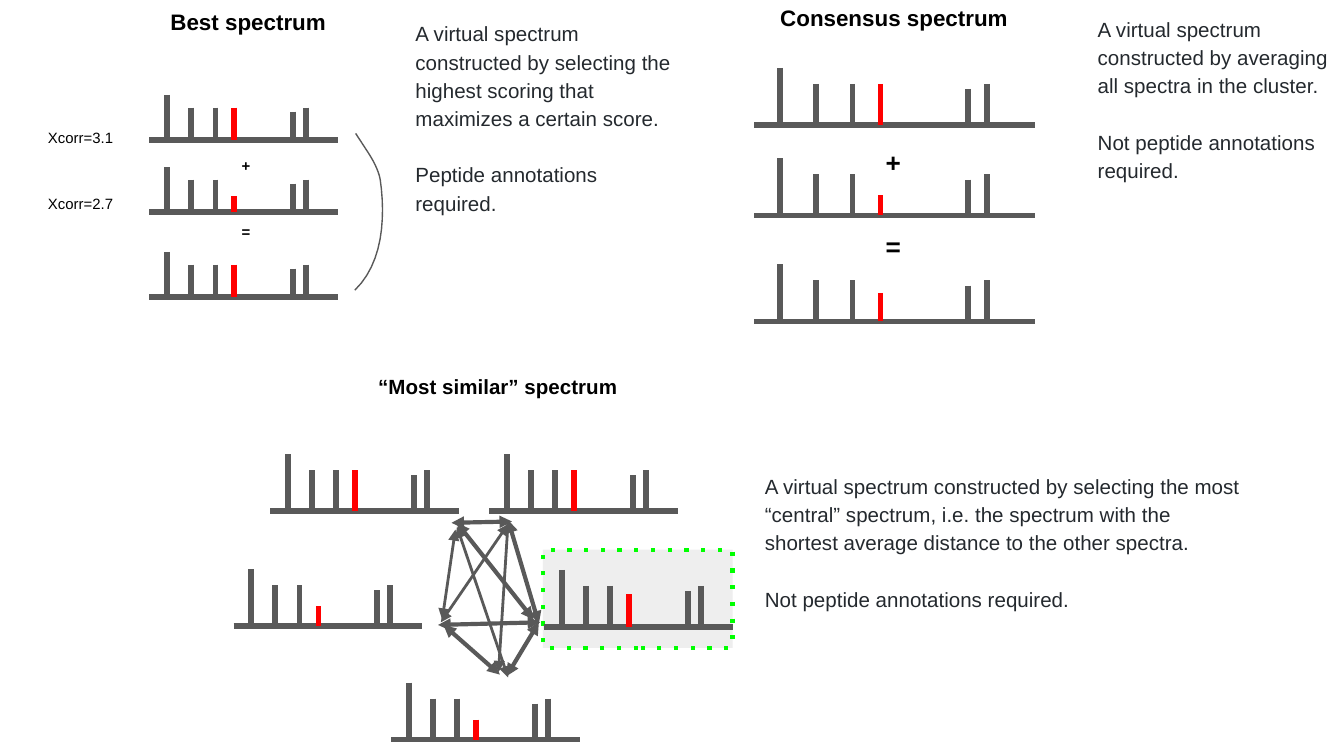
from lxml import etree
from pptx import Presentation
from pptx.dml.color import RGBColor
from pptx.enum.shapes import MSO_CONNECTOR, MSO_SHAPE
from pptx.enum.text import PP_ALIGN
from pptx.oxml.ns import qn
from pptx.util import Pt

STRAIGHT = MSO_CONNECTOR.STRAIGHT
RECT = MSO_SHAPE.RECTANGLE
LEFT, CENTER = PP_ALIGN.LEFT, PP_ALIGN.CENTER
COLORS = {"black": "000000", "body": "24292E", "gray": "595959",
          "red": "FF0000", "green": "00FF00", "pale": "EEEEEE"}
HIGH, CENTRAL, MEAN, LOW = 0.72, 0.57, 0.5, 0.35
PEAKS = [(0.093, 1), (0.22, 0.72), (0.35, 0.72), (0.762, 0.63), (0.83, 0.72)]
RED_X = 0.45

BEST = [(80, 74.9, HIGH), (80, 113.5, LOW), (80, 159, HIGH)]
CONSENSUS = [(404, 66.9, HIGH), (404, 115.4, LOW), (404, 172.2, MEAN)]
SIMILAR = [(144.8, 273.8, HIGH), (125.1, 335.5, LOW), (262.1, 273.8, HIGH),
           (291.6, 335.8, CENTRAL), (209.6, 396.2, LOW)]
ARROWS = [(244, 283.7, 236.9, 331.9, 1.5), (272.2, 280.8, 236.2, 333.4, 1.5),
          (288.7, 334.1, 272.2, 278.6, 2.25), (288.7, 333.4, 271.4, 362.2, 2.25),
          (289.4, 333.4, 234.7, 334.8, 2.25), (285.8, 331.9, 244.8, 280.1, 2.25),
          (244.8, 282.2, 272.2, 362.9, 1.5), (237.6, 334.8, 267.8, 361.4, 2.25),
          (241.9, 280.1, 274.3, 279.4, 2.25), (272.2, 279.4, 267.1, 360, 1.5)]
CURVE = [[(190.6, 71.5), (195.8, 79.9), (202.3, 87.8), (203.8, 96.5)],
         [(203.8, 96.5), (206.6, 116.6), (205.2, 141.1), (190.1, 155.5)]]

TITLES = [("Best spectrum", 60.5, -2.9, 145, 12),
          ("Consensus spectrum", 404, -4.7, 150, 12),
          ("“Most similar” spectrum", 175.7, 193.7, 182, 11)]
NOTES = [
    (["A virtual spectrum constructed by selecting the highest scoring that "
      "maximizes a certain score.", "Peptide annotations required."],
     215.5, 2.2, 152, 118),
    (["A virtual spectrum constructed by averaging all spectra in the cluster.",
      "Not peptide annotations required."], 581, -0.2, 139, 105),
    (["A virtual spectrum constructed by selecting the most “central” spectrum, "
      "i.e. the spectrum with the shortest average distance to the other spectra.",
      "Not peptide annotations required."], 402.7, 244.6, 271.4, 105)]
SIGNS = [("+", 122.4, 79.2, 8), ("=", 122.4, 114.5, 8),
         ("+", 467.3, 71.3, 14), ("=", 467.3, 116, 14)]
SCORES = [("Xcorr=3.1", 64.1), ("Xcorr=2.7", 99.4)]


def rgb(name):
    """Return the named colour."""
    return RGBColor.from_string(COLORS[name])


def add_text(slide, lines, box, size, color="black", bold=False,
             align=LEFT, pitch=1, gap=0):
    """Add a text box with one paragraph per line."""
    frame = slide.shapes.add_textbox(*map(Pt, box)).text_frame
    frame.word_wrap = True
    frame.margin_left = frame.margin_right = Pt(7.2)
    frame.margin_top = frame.margin_bottom = Pt(7.2)
    for i, line in enumerate(lines):
        para = frame.add_paragraph() if i else frame.paragraphs[0]
        para.text = line
        para.alignment = align
        para.line_spacing = pitch
        para.space_before = Pt(gap if i else 0)
        font = para.font
        font.name, font.size, font.bold = "Arial", Pt(size), bold
        font.color.rgb = rgb(color)


def add_line(slide, x1, y1, x2, y2, width=3, color="gray", heads=False):
    """Add a straight line, with arrowheads at both ends if asked."""
    line = slide.shapes.add_connector(STRAIGHT, Pt(x1), Pt(y1), Pt(x2), Pt(y2))
    line.line.color.rgb = rgb(color)
    line.line.width = Pt(width)
    props = line.element.spPr
    if heads:
        for tag in ("a:headEnd", "a:tailEnd"):
            etree.SubElement(props.find(qn("a:ln")), qn(tag), type="triangle")
    etree.SubElement(props, qn("a:effectLst"))


def add_spectrum(slide, left, base, red, width, tall):
    """Add a baseline with its gray peaks and one red peak."""
    add_line(slide, left, base, left + width, base)
    bars = [(x, h, "gray") for x, h in PEAKS] + [(RED_X, red, "red")]
    for part, high, color in bars:
        x = left + part * width
        add_line(slide, x, base - high * tall, x, base, color=color)


def add_frame(slide, box):
    """Add the pale panel with a dotted green border."""
    panel = slide.shapes.add_shape(RECT, *map(Pt, box))
    panel.shadow.inherit = False
    panel.fill.solid()
    panel.fill.fore_color.rgb = rgb("pale")
    panel.line.color.rgb = rgb("green")
    panel.line.width = Pt(2.25)
    edge = panel.element.spPr.find(qn("a:ln"))
    etree.SubElement(edge, qn("a:prstDash"), val="dot")


def bend(knots, t):
    """Return the point at t on a cubic curve."""
    parts = ((1 - t) ** 3, 3 * t * (1 - t) ** 2, 3 * t * t * (1 - t), t ** 3)
    return tuple(Pt(sum(p * k[axis] for p, k in zip(parts, knots)))
                 for axis in (0, 1))


def add_curve(slide, pieces, steps=12):
    """Add a thin open curve through cubic pieces."""
    dots = [bend(knots, i / steps) for knots in pieces for i in range(1, steps + 1)]
    pen = slide.shapes.build_freeform(*bend(pieces[0], 0))
    pen.add_line_segments(dots, close=False)
    curve = pen.convert_to_shape()
    curve.shadow.inherit = False
    curve.fill.background()
    curve.line.color.rgb = rgb("gray")
    curve.line.width = Pt(0.75)


def main():
    """Build the slide of the three ways to pick a spectrum."""
    deck = Presentation()
    deck.slide_width, deck.slide_height = Pt(720), Pt(405)
    slide = deck.slides.add_slide(deck.slide_layouts[6])
    for text, x, y, width, size in TITLES:
        add_text(slide, [text], (x, y, width, 45), size, bold=True, align=CENTER)
    for lines, *box in NOTES:
        add_text(slide, lines, box, 11, "body", pitch=1.15, gap=15)
    add_frame(slide, (290.9, 294.5, 101.6, 52.6))
    for group, width, tall in ((BEST, 101, 24), (CONSENSUS, 150.3, 30.5),
                               (SIMILAR, 101, 30.5)):
        for left, base, red in group:
            add_spectrum(slide, left, base, red, width, tall)
    for sign, x, y, size in SIGNS:
        add_text(slide, [sign], (x, y, 1.5 * size + 5, 17), size, bold=True)
    for text, y in SCORES:
        add_text(slide, [text], (18, y, 50.4, 15), 8, align=CENTER)
    add_curve(slide, CURVE)
    for *ends, width in ARROWS:
        add_line(slide, *ends, width, heads=True)
    deck.save("out.pptx")


if __name__ == "__main__":
    main()
